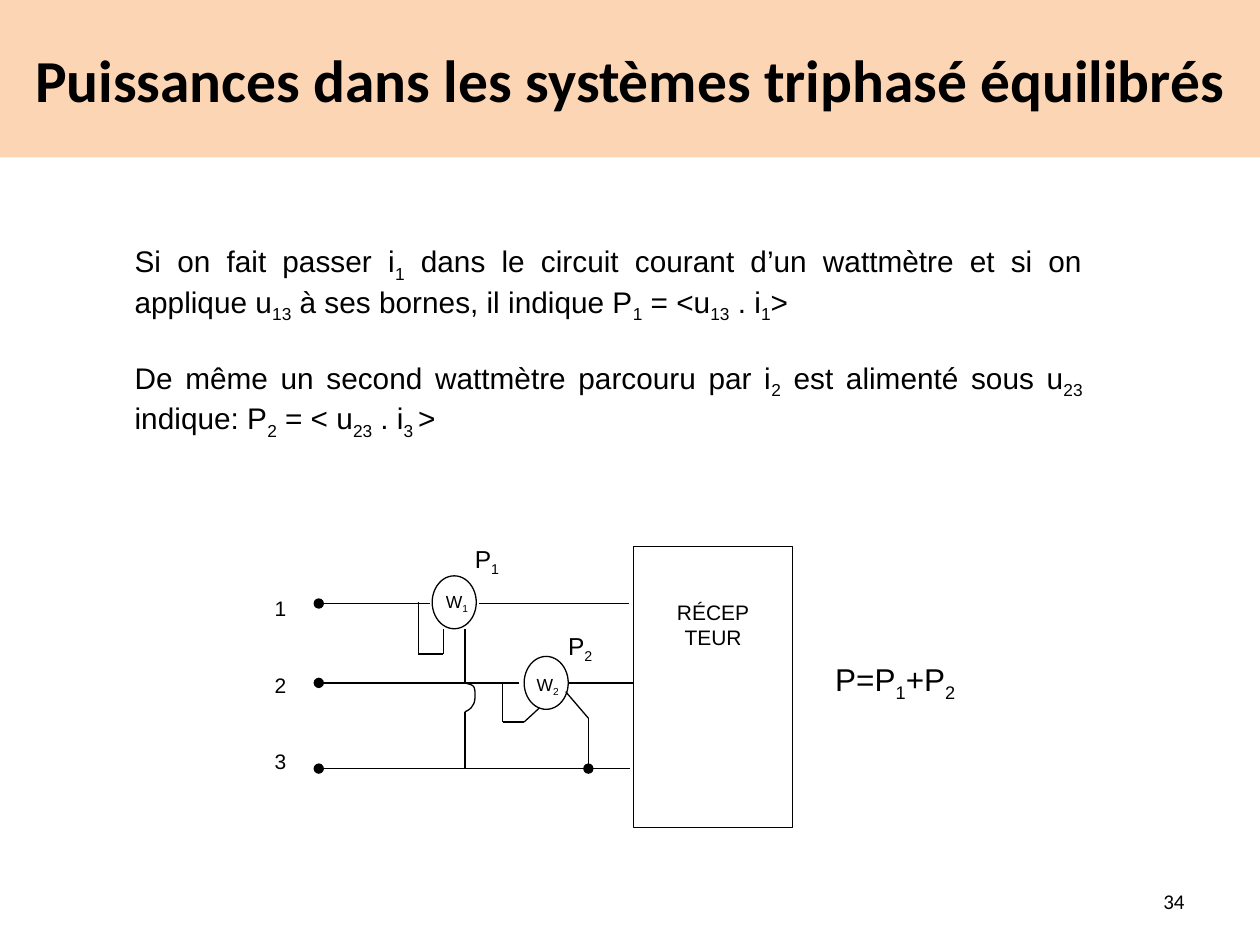
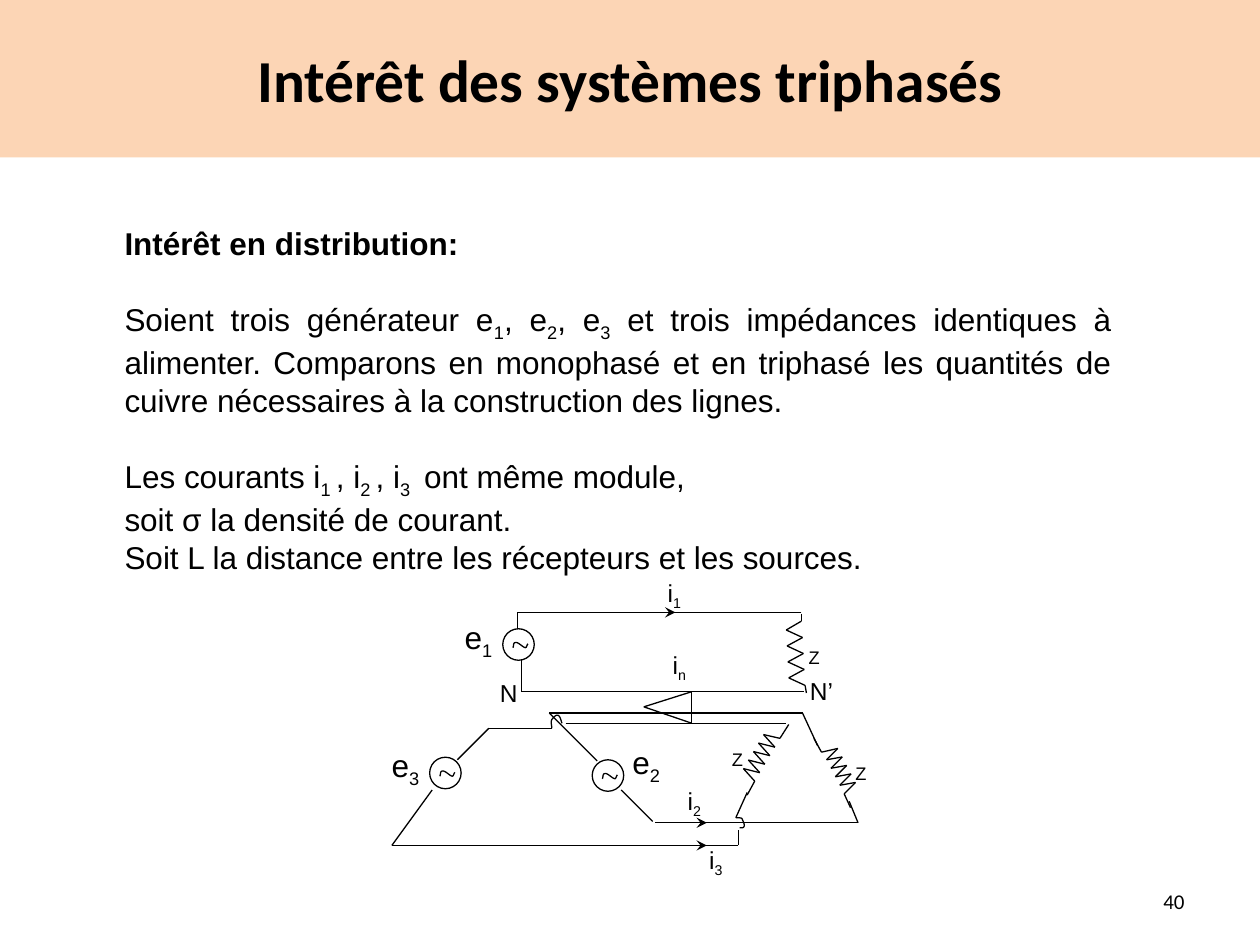
"""Build two slides on power measurement and distribution in three-phase systems."""
from lxml.etree import SubElement
from pptx import Presentation
from pptx.dml.color import RGBColor
from pptx.enum.shapes import MSO_CONNECTOR, MSO_SHAPE
from pptx.enum.text import MSO_ANCHOR, PP_ALIGN
from pptx.oxml.ns import qn
from pptx.util import Inches, Pt

BLACK = RGBColor(0, 0, 0)
WHITE = RGBColor(255, 255, 255)
PEACH = RGBColor(0xFC, 0xD5, 0xB5)
BODY_FONT = "Arial"
TITLE_FONT = "Calibri"
STROKE = Pt(0.75)


class CircuitDeck:
    """Hold the deck style and draw on the current slide; |x| in a text is a subscript."""

    def __init__(self):
        self.deck = Presentation()
        self.deck.slide_width, self.deck.slide_height = Inches(10), Inches(7.5)
        self.slide = None

    def new_slide(self, title, number):
        self.slide = self.deck.slides.add_slide(self.deck.slide_layouts[6])
        band = self.shape(MSO_SHAPE.RECTANGLE, 0, 0, 10, 1.25, PEACH, outlined=False)
        self.fill_text(band, [title], 34, PP_ALIGN.CENTER, TITLE_FONT, bold=True, anchor=MSO_ANCHOR.MIDDLE)
        self.text(7.17, 6.95, 2.33, 0.4, [str(number)], 12, align=PP_ALIGN.RIGHT,
                  font=TITLE_FONT, anchor=MSO_ANCHOR.MIDDLE)

    def shape(self, kind, left, top, width, height, fill=WHITE, outlined=True):
        shape = self.slide.shapes.add_shape(kind, Inches(left), Inches(top), Inches(width), Inches(height))
        shape.shadow.inherit = False
        shape.fill.solid()
        shape.fill.fore_color.rgb = fill
        if outlined:
            self.stroke(shape)
        else:
            shape.line.fill.background()
        return shape

    def stroke(self, shape):
        shape.line.color.rgb = BLACK
        shape.line.width = STROKE

    def fill_text(self, shape, paragraphs, size, align=PP_ALIGN.LEFT, font=BODY_FONT,
                  bold=False, anchor=MSO_ANCHOR.TOP):
        frame = shape.text_frame
        frame.word_wrap = True
        frame.vertical_anchor = anchor
        for index, content in enumerate(paragraphs):
            paragraph = frame.add_paragraph() if index else frame.paragraphs[0]
            paragraph.alignment = align
            for part, piece in enumerate(content.split("|")):
                if not piece:
                    continue
                run = paragraph.add_run()
                run.text = piece
                run.font.size = Pt(size)
                run.font.name = font
                run.font.bold = bold
                run.font.color.rgb = BLACK
                if part % 2:
                    run.font._rPr.set("baseline", "-25000")
        return frame

    def text(self, left, top, width, height, paragraphs, size, **style):
        box = self.slide.shapes.add_textbox(Inches(left), Inches(top), Inches(width), Inches(height))
        return self.fill_text(box, paragraphs, size, **style)

    def labels(self, size, width, height, places):
        for content, left, top in places:
            self.text(left, top, width, height, [content], size)

    def wire(self, *points, head=None, tail=None):
        """Draw connectors from point to point, with optional line ends."""
        for start, end in zip(points, points[1:]):
            line = self.slide.shapes.add_connector(MSO_CONNECTOR.STRAIGHT, *map(Inches, start + end))
            self.stroke(line)
            outline = line.line._get_or_add_ln()
            for tag, mark in (("a:headEnd", head), ("a:tailEnd", tail)):
                if mark:
                    SubElement(outline, qn(tag), type=mark)
            SubElement(line._element.spPr, qn("a:effectLst"))

    def curve(self, start, *segments, steps=8):
        """Draw an open outline through cubic segments (two controls and an end)."""
        points = [start]
        for segment in segments:
            corners = (points[-1],) + segment
            for step in range(1, steps + 1):
                t = step / steps
                weights = ((1 - t) ** 3, 3 * t * (1 - t) ** 2, 3 * t * t * (1 - t), t ** 3)
                points.append(tuple(sum(w * c[axis] for w, c in zip(weights, corners)) for axis in (0, 1)))
        emu = [(Inches(x), Inches(y)) for x, y in points]
        builder = self.slide.shapes.build_freeform(*emu[0])
        builder.add_line_segments(emu[1:], close=False)
        outline = builder.convert_to_shape()
        outline.shadow.inherit = False
        outline.fill.background()
        self.stroke(outline)

    def resistor(self, lead_in, first, second, last, turns, lead_out):
        """Draw a zigzag whose peaks go from first to last in equal turns."""
        pitch = [(b - a) / (turns - 1) for a, b in zip(first, last)]
        peaks = [(x + turn * pitch[0], y + turn * pitch[1])
                 for turn in range(turns) for x, y in (first, second)]
        self.wire(*lead_in, *peaks, lead_out)

    def generator(self, left, top):
        self.shape(MSO_SHAPE.OVAL, left, top, 0.25, 0.25)
        offsets = [(0.08, 0.15), (0.09, 0.14), (0.08, 0.11), (0.1, 0.11), (0.12, 0.1),
                   (0.16, 0.15), (0.18, 0.15), (0.19, 0.15), (0.19, 0.13), (0.2, 0.12)]
        sine = [(left + x, top + y) for x, y in offsets]
        self.curve(sine[0], *(tuple(sine[i:i + 3]) for i in (1, 4, 7)))


def two_wattmeters(deck):
    deck.new_slide("Puissances dans les systèmes triphasé équilibrés", 34)
    method = deck.text(0.97, 1.88, 7.72, 2.11, [
        "Si on fait passer i|1| dans le circuit courant d’un wattmètre et si on applique u|13|"
        " à ses bornes, il indique P|1| = <u|13| . i|1|>",
        "De même un second wattmètre parcouru par i|2| est alimenté sous u|23|"
        " indique: P|2| = < u|23| . i|3 |>"], 17, align=PP_ALIGN.JUSTIFY)
    method.paragraphs[0].space_after = Pt(20)

    for phase_y, end in ((4.79, 3.41), (5.42, 4.12), (6.1, 5)):
        deck.wire((2.53, phase_y), (end, phase_y), head="oval")
    deck.wire((3.8, 4.79), (4.99, 4.79))
    deck.wire((4.51, 5.42), (5.04, 5.42))
    for left, top in ((3.43, 4.57), (4.16, 5.21)):
        deck.shape(MSO_SHAPE.OVAL, left, top, 0.35, 0.42)

    deck.wire((3.32, 4.78), (3.32, 5.19), (3.52, 5.19), (3.52, 4.99))
    deck.wire((3.69, 4.99), (3.69, 5.41))
    deck.curve((3.69, 5.42), ((3.75, 5.44), (3.77, 5.43), (3.77, 5.51)),
               ((3.77, 5.54), (3.77, 5.58), (3.75, 5.6)), ((3.74, 5.63), (3.69, 5.65), (3.69, 5.65)))
    deck.wire((3.69, 5.65), (3.69, 6.1))
    deck.wire((3.99, 5.41), (3.99, 5.73), (4.16, 5.73), (4.28, 5.62))
    deck.wire((4.49, 5.49), (4.67, 5.7))
    deck.wire((4.67, 5.7), (4.67, 6.1), tail="oval")

    phases = deck.text(2.18, 4.68, 0.18, 1.89, ["1", "2", "3"], 12)
    phases.margin_left = phases.margin_right = 0
    for phase in phases.paragraphs[:2]:
        phase.space_after = Pt(29.3)

    load = deck.shape(MSO_SHAPE.RECTANGLE, 5.03, 4.34, 1.26, 2.23)
    load_name = deck.fill_text(load, ["RÉCEP", "TEUR"], 12, PP_ALIGN.CENTER)
    load_name.margin_top = Inches(0.42)

    deck.labels(10, 0.75, 0.67, [("W|1|", 3.44, 4.64), ("W|2|", 4.16, 5.3)])
    deck.labels(14, 0.75, 0.67, [("P|1|", 3.67, 4.27), ("P|2|", 4.41, 4.96)])
    deck.labels(18, 1.68, 0.68, [("P=P|1|+P|2|", 6.53, 5.19)])


def distribution(deck):
    deck.new_slide("Intérêt des systèmes triphasés", 40)
    argument = deck.text(0.89, 1.73, 8.03, 4.64, [
        "Intérêt en distribution:",
        "Soient trois générateur e|1|, e|2|, e|3| et trois impédances identiques à alimenter."
        " Comparons en monophasé et en triphasé les quantités de cuivre nécessaires"
        " à la construction des lignes.",
        "Les courants i|1 |, i|2 |, i|3 | ont même module,",
        "soit σ la densité de courant.",
        "Soit L la distance entre les récepteurs et les sources."], 18)
    heading, comparison = argument.paragraphs[:2]
    heading.runs[0].font.bold = True
    comparison.alignment = PP_ALIGN.JUSTIFY
    for paragraph in (heading, comparison):
        paragraph.space_after = Pt(22)

    deck.wire((6.36, 4.86), (4.11, 4.86), (4.11, 4.99))
    deck.wire((6.38, 5.49), (4.14, 5.49), (4.14, 5.23))
    deck.wire((4.49, 5.74), (6.24, 5.74))
    deck.wire((6.49, 5.92), (6.37, 5.66), (4.36, 5.66), (4.74, 6.04))
    deck.wire((4.93, 6.27), (5.18, 6.52))
    deck.wire((6.74, 6.36), (6.81, 6.53), (5.2, 6.53))
    deck.curve((4.46, 5.74), ((4.45, 5.71), (4.44, 5.63), (4.38, 5.71)),
               ((4.37, 5.73), (4.38, 5.76), (4.38, 5.78)))
    deck.wire((4.38, 5.78), (3.88, 5.78), (3.63, 6.03))
    deck.wire((5.93, 6.29), (5.84, 6.49))
    deck.curve((5.84, 6.49), ((5.86, 6.49), (5.89, 6.49), (5.89, 6.5)),
               ((5.93, 6.58), (5.89, 6.57), (5.87, 6.57)))
    deck.wire((5.86, 6.59), (5.86, 6.71), (3.11, 6.71), (3.43, 6.27))
    deck.wire((5.49, 5.74), (5.49, 5.49), (5.11, 5.61), (5.49, 5.74))

    for start, end, current_y in ((4.86, 5.36, 4.86), (5.24, 5.61, 6.53), (5.11, 5.61, 6.71)):
        deck.wire((start, current_y), (end, current_y), tail="stealth")
    for left, top in ((3.99, 4.99), (3.41, 6.01), (4.7, 6.03)):
        deck.generator(left, top)
    deck.resistor([(6.36, 4.87), (6.36, 4.93)], (6.24, 5), (6.37, 5.06), (6.26, 5.38), 4, (6.4, 5.5))
    deck.resistor([(6.26, 5.75), (6.19, 5.86)], (6.06, 5.83), (6.15, 5.93), (5.9, 6.1), 5, (5.93, 6.31))
    deck.resistor([(6.46, 5.86), (6.52, 5.97)], (6.65, 5.94), (6.56, 6.03), (6.79, 6.21), 5, (6.75, 6.41))

    deck.labels(18, 0.5, 0.4, [("e|1|", 3.59, 4.86), ("e|3|", 3.01, 5.87), ("e|2|", 4.92, 5.85)])
    deck.labels(18, 0.35, 0.3, [("|Z|", 6.32, 4.91), ("|Z|", 6.69, 5.83), ("|Z|", 5.71, 5.72)])
    deck.labels(14, 0.5, 0.37, [
        ("i|n|", 5.24, 5.11), ("i|1|", 5.2, 4.54), ("i|2|", 5.36, 6.19),
        ("i|3|", 5.53, 6.66), ("N", 3.87, 5.33), ("N’", 6.33, 5.32)])


def main():
    deck = CircuitDeck()
    two_wattmeters(deck)
    distribution(deck)
    deck.deck.save("out.pptx")


if __name__ == "__main__":
    main()
